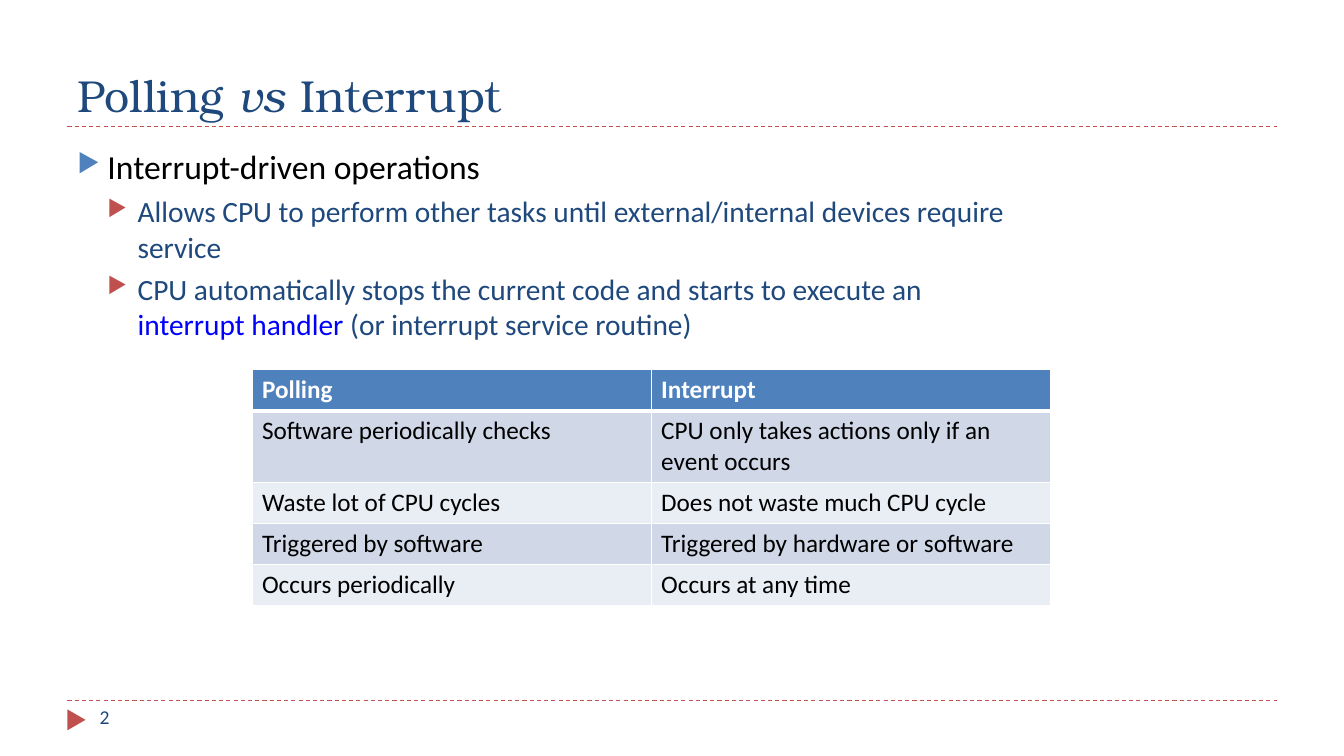
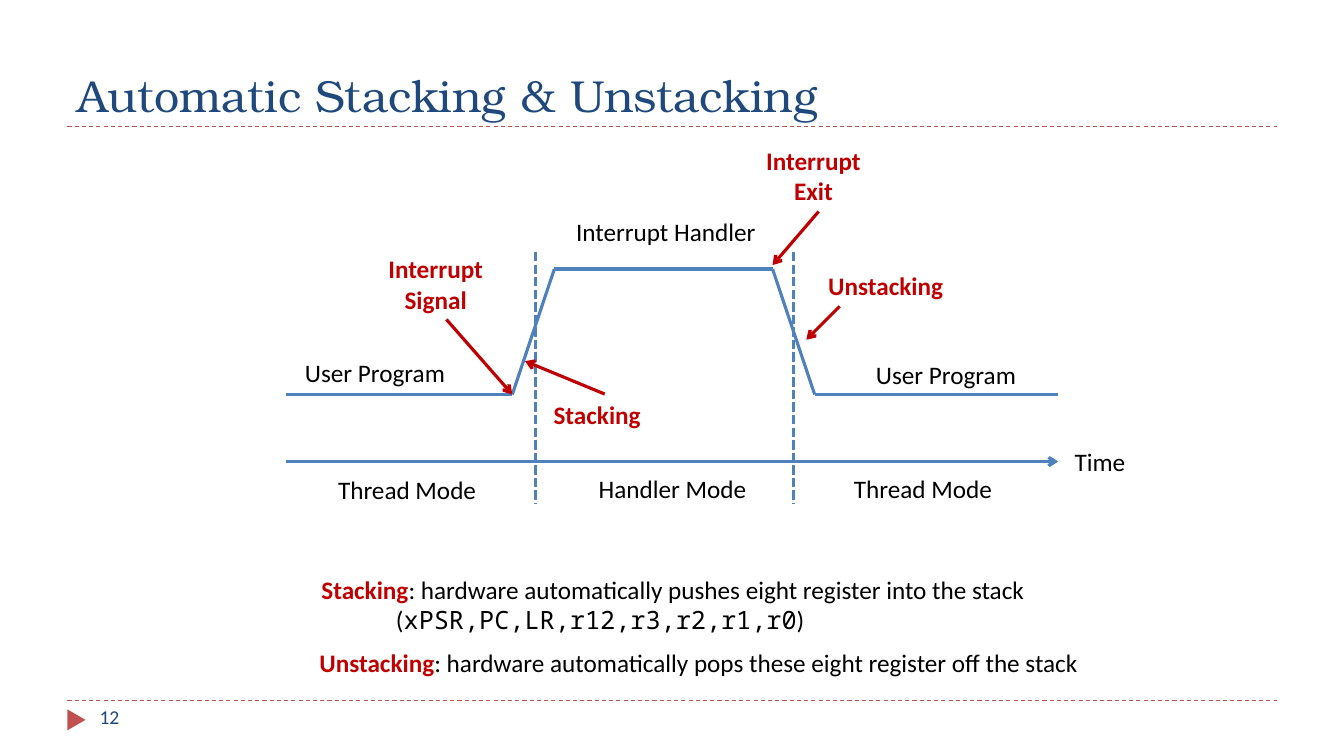
from dataclasses import dataclass
from itertools import pairwise

from lxml import etree
from pptx import Presentation
from pptx.dml.color import RGBColor
from pptx.enum.dml import MSO_LINE
from pptx.enum.shapes import MSO_CONNECTOR, MSO_SHAPE
from pptx.enum.text import MSO_ANCHOR, MSO_AUTO_SIZE, PP_ALIGN
from pptx.oxml.ns import qn
from pptx.util import Cm, Pt

STRAIGHT = MSO_CONNECTOR.STRAIGHT
TRIANGLE = MSO_SHAPE.ISOSCELES_TRIANGLE
DASH, SHORT_DASH = MSO_LINE.DASH, MSO_LINE.SQUARE_DOT
LEFT, CENTER = PP_ALIGN.LEFT, PP_ALIGN.CENTER
TOP, BOTTOM = MSO_ANCHOR.TOP, MSO_ANCHOR.BOTTOM
NO_AUTOFIT = MSO_AUTO_SIZE.NONE

NAVY, BLUE, BRICK, RED = "1F497D", "4F81BD", "C0504D", "C00000"
BLACK, WHITE, LINK_BLUE = "000000", "FFFFFF", "0000FF"
BAND_DARK, BAND_LIGHT = "D0D8E8", "E9EDF4"
BODY_FONT, TITLE_FONT, CODE_FONT = "Calibri", "TeX Gyre Bonum", "Noto Sans Mono"

MARGIN, RIGHT_EDGE = 1.7, 32.18
TITLE_RULE, FOOTER_RULE = 3.18, 17.65
LINE_HEIGHT = 0.78
INSETS = 0.25


@dataclass(frozen=True)
class Span:
    text: str
    color: str = BLACK
    bold: bool = False
    italic: bool = False
    font: str = BODY_FONT


@dataclass(frozen=True)
class Bullet:
    spans: list[Span]
    level: int = 0


@dataclass(frozen=True)
class Label:
    lines: list[str]
    center: float
    top: float
    width: float
    color: str = BLACK


@dataclass(frozen=True)
class Arrow:
    start: tuple[float, float]
    end: tuple[float, float]


BULLETS = [
    Bullet([Span("Interrupt-driven operations")]),
    Bullet([Span("Allows CPU to perform other tasks until external/internal "
                 "devices require service", NAVY)], 1),
    Bullet([Span("CPU automatically stops the current code and starts to execute an ", NAVY),
            Span("interrupt handler ", LINK_BLUE),
            Span("(or interrupt service routine)", NAVY)], 1),
]

COMPARISON = [
    ("Polling", "Interrupt"),
    ("Software periodically checks", "CPU only takes actions only if an event occurs"),
    ("Waste lot of CPU cycles", "Does not waste much CPU cycle"),
    ("Triggered by software", "Triggered by hardware or software"),
    ("Occurs periodically", "Occurs at any time"),
]

# Levels of the timing diagram, in centimetres
AXIS_Y, PROGRAM_Y, HANDLER_Y = 11.63, 9.94, 6.78
AXIS_START, AXIS_END = 7.2, 26.67
WAVEFORM = [(AXIS_START, PROGRAM_Y), (12.91, PROGRAM_Y), (13.97, HANDLER_Y),
            (19.47, HANDLER_Y), (20.53, PROGRAM_Y), (AXIS_END, PROGRAM_Y)]
MODE_BOUNDARIES = [13.49, 20.0]

LABELS = [
    Label(["Interrupt Handler"], 16.78, 5.33, 5.13),
    Label(["Handler Mode"], 16.95, 11.79, 5.46),
    Label(["Thread Mode"], 23.26, 11.79, 5.46),
    Label(["Thread Mode"], 10.26, 11.84, 5.46),
    Label(["User Program"], 23.84, 8.92, 4.17),
    Label(["User Program"], 9.45, 8.89, 4.17),
    Label(["Time"], 27.72, 11.13, 2.13),
    Label(["Interrupt", "Signal"], 10.98, 6.27, 3.2, RED),
    Label(["Interrupt", "Exit"], 20.5, 3.53, 3.2, RED),
    Label(["Stacking"], 15.05, 9.93, 3.07, RED),
    Label(["Unstacking"], 22.32, 6.68, 3.86, RED),
]

ARROWS = [
    Arrow((11.25, 8.05), (12.91, 9.94)),
    Arrow((15.24, 9.93), (13.23, 9.1)),
    Arrow((21.16, 7.72), (20.32, 8.56)),
    Arrow((20.63, 5.33), (19.47, 6.68)),
]


def rgb(value: str) -> RGBColor:
    return RGBColor.from_string(value)


def add_text(paragraph, text: str, *, size: float = 18, color: str = BLACK,
             font: str = BODY_FONT, bold: bool = False, italic: bool = False) -> None:
    run = paragraph.add_run()
    run.text = text
    run.font.name, run.font.size = font, Pt(size)
    run.font.bold, run.font.italic = bold, italic
    run.font.color.rgb = rgb(color)


def add_spans(paragraph, spans: list[Span], size: float = 18) -> None:
    for span in spans:
        add_text(paragraph, span.text, size=size, color=span.color,
                 font=span.font, bold=span.bold, italic=span.italic)


def add_box(slide, left: float, top: float, width: float, height: float):
    """Add a wrapping text box and return its text frame."""
    frame = slide.shapes.add_textbox(Cm(left), Cm(top), Cm(width), Cm(height)).text_frame
    frame.word_wrap = True
    frame.vertical_anchor = TOP
    return frame


def paragraphs_for(frame, count: int) -> list:
    return [frame.paragraphs[0], *(frame.add_paragraph() for _ in range(count - 1))]


def add_line(slide, start: tuple[float, float], end: tuple[float, float], *,
             color: str = BLUE, width: float = 2.25, dash=None, arrow: bool = False) -> None:
    connector = slide.shapes.add_connector(STRAIGHT, *map(Cm, start), *map(Cm, end))
    connector.line.color.rgb = rgb(color)
    connector.line.width = Pt(width)
    if dash is not None:
        connector.line.dash_style = dash
    properties = connector._element.spPr
    if arrow:
        etree.SubElement(properties.find(qn("a:ln")), qn("a:tailEnd"), type="arrow")
    etree.SubElement(properties, qn("a:effectLst"))


def add_bullet_mark(paragraph, level: int) -> None:
    properties = paragraph._p.get_or_add_pPr()
    properties.set("marL", str(Cm(0.76 * (level + 1))))
    properties.set("indent", str(-Cm(0.76)))
    color = etree.SubElement(properties, qn("a:buClr"))
    etree.SubElement(color, qn("a:srgbClr"), val=BRICK if level else BLUE)
    etree.SubElement(properties, qn("a:buSzPct"), val="76000")
    etree.SubElement(properties, qn("a:buChar"), char="▶")


def set_borders(cell, top: float, bottom: float) -> None:
    properties = cell._tc.get_or_add_tcPr()
    for side, width in (("L", 1), ("R", 1), ("T", top), ("B", bottom)):
        line = etree.SubElement(properties, qn(f"a:ln{side}"), w=str(Pt(width)))
        fill = etree.SubElement(line, qn("a:solidFill"))
        etree.SubElement(fill, qn("a:srgbClr"), val=WHITE)


def add_titled_slide(presentation, title_spans: list[Span], number: str):
    """Add a slide with the shared title, rules and footer."""
    slide = presentation.slides.add_slide(presentation.slide_layouts[5])
    for y in (FOOTER_RULE, TITLE_RULE):
        add_line(slide, (MARGIN, y), (RIGHT_EDGE, y), color=BRICK, width=0.75, dash=DASH)

    marker = slide.shapes.add_shape(TRIANGLE, Cm(1.66), Cm(17.91), Cm(0.53), Cm(0.46))
    marker.rotation = 90
    marker.shadow.inherit = False
    marker.fill.solid()
    marker.fill.fore_color.rgb = rgb(BRICK)
    marker.line.fill.background()

    title = slide.shapes.title
    title.left, title.top = Cm(MARGIN), Cm(0.43)
    title.width, title.height = Cm(RIGHT_EDGE - MARGIN), Cm(TITLE_RULE - 0.43)
    frame = title.text_frame
    frame.auto_size, frame.vertical_anchor = NO_AUTOFIT, BOTTOM
    frame.paragraphs[0].alignment = LEFT
    add_spans(frame.paragraphs[0], title_spans, 32)

    footer = add_box(slide, 2.26, FOOTER_RULE, 7.34, 1.02)
    add_text(footer.paragraphs[0], number, size=14, color=NAVY)
    return slide


def title_span(text: str, italic: bool = False) -> Span:
    return Span(text, NAVY, italic=italic, font=TITLE_FONT)


def add_comparison_table(slide) -> None:
    row_heights = [1.03, 1.81, 1.03, 1.03, 1.03]
    table = slide.shapes.add_table(len(COMPARISON), 2, Cm(6.35), Cm(9.32),
                                   Cm(20.12), Cm(sum(row_heights))).table
    table.first_row = table.horz_banding = False
    for index, texts in enumerate(COMPARISON):
        table.rows[index].height = Cm(row_heights[index])
        header = index == 0
        fill = BLUE if header else BAND_DARK if index % 2 else BAND_LIGHT
        for cell, text in zip(table.rows[index].cells, texts):
            set_borders(cell, top=3 if index == 1 else 1, bottom=3 if header else 1)
            cell.fill.solid()
            cell.fill.fore_color.rgb = rgb(fill)
            add_text(cell.text_frame.paragraphs[0], text,
                     color=WHITE if header else BLACK, bold=header)


def build_polling_slide(presentation) -> None:
    title = [title_span("Polling "), title_span("vs", True), title_span(" Interrupt")]
    slide = add_titled_slide(presentation, title, "2")
    add_comparison_table(slide)

    frame = add_box(slide, MARGIN, 3.56, 23.93, 13.72)
    for paragraph, bullet in zip(paragraphs_for(frame, len(BULLETS)), BULLETS):
        add_bullet_mark(paragraph, bullet.level)
        paragraph.space_before = Pt(5 if bullet.level else 0)
        add_spans(paragraph, bullet.spans, 21 if bullet.level else 24)


def add_label(slide, label: Label) -> None:
    height = LINE_HEIGHT * len(label.lines) + INSETS
    frame = add_box(slide, label.center - label.width / 2, label.top, label.width, height)
    for paragraph, text in zip(paragraphs_for(frame, len(label.lines)), label.lines):
        paragraph.alignment = CENTER
        add_text(paragraph, text, color=label.color, bold=label.color == RED)


def build_stacking_slide(presentation) -> None:
    slide = add_titled_slide(presentation, [title_span("Automatic Stacking & Unstacking")], "12")

    # Time axis, program flow and mode boundaries
    add_line(slide, (AXIS_START, AXIS_Y), (AXIS_END, AXIS_Y), arrow=True)
    for start, end in pairwise(WAVEFORM):
        add_line(slide, start, end)
    for x in MODE_BOUNDARIES:
        add_line(slide, (x, 6.35), (x, 12.7), dash=SHORT_DASH)

    # Labels and callout arrows
    for label in LABELS:
        add_label(slide, label)
    for arrow in ARROWS:
        add_line(slide, arrow.start, arrow.end, color=RED, arrow=True)

    # Definitions
    stacking = add_box(slide, 7.85, 14.35, 18.59, 1.81)
    definition, registers = paragraphs_for(stacking, 2)
    add_spans(definition, [
        Span("Stacking", RED, bold=True),
        Span(": hardware automatically pushes eight register into the stack")])
    registers._p.get_or_add_pPr().set("marL", str(Cm(1.88)))
    add_spans(registers, [
        Span("("), Span("xPSR,PC,LR,r12,r3,r2,r1,r0", font=CODE_FONT), Span(")")])

    unstacking = add_box(slide, 7.8, 16.18, 19.89, 1.03)
    add_spans(unstacking.paragraphs[0], [
        Span("Unstacking", RED, bold=True),
        Span(": hardware automatically pops these eight register off the stack")])


def main() -> None:
    presentation = Presentation()
    presentation.slide_width, presentation.slide_height = Cm(33.87), Cm(19.05)
    build_polling_slide(presentation)
    build_stacking_slide(presentation)
    presentation.save("out.pptx")


if __name__ == "__main__":
    main()
